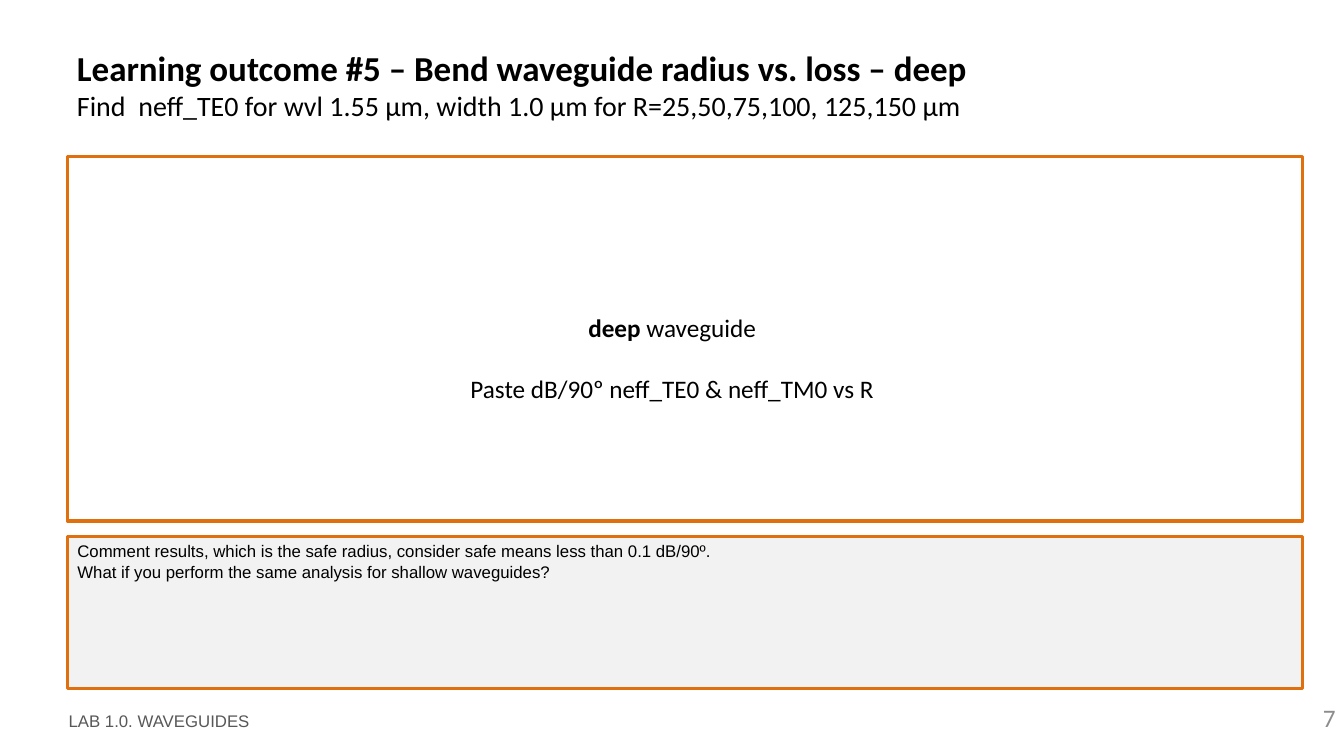
from pptx import Presentation
from pptx.dml.color import RGBColor
from pptx.enum.shapes import MSO_SHAPE
from pptx.enum.text import MSO_ANCHOR, PP_ALIGN
from pptx.util import Cm, Pt

BLACK = RGBColor(0x00, 0x00, 0x00)
ORANGE = RGBColor(0xE0, 0x70, 0x0D)
PALE_GRAY = RGBColor(0xF2, 0xF2, 0xF2)
FOOTER_GRAY = RGBColor(0x58, 0x58, 0x58)
NUMBER_GRAY = RGBColor(0x8C, 0x8C, 0x8C)

PANEL_LEFT, PANEL_WIDTH = 1.7, 31.12


def set_font(para, name, size, color, bold=False):
    para.font.name = name
    para.font.size = Pt(size)
    para.font.color.rgb = color
    para.font.bold = bold


def add_text_frame(page, left, top, width, height, margin=0.0):
    box = page.shapes.add_textbox(Cm(left), Cm(top), Cm(width), Cm(height))
    frame = box.text_frame
    frame.word_wrap = True
    frame.margin_left = frame.margin_right = Cm(margin)
    frame.margin_top = frame.margin_bottom = Cm(margin / 2)
    return frame


def add_panel(page, top, height, fill=None):
    panel = page.shapes.add_shape(
        MSO_SHAPE.RECTANGLE, Cm(PANEL_LEFT), Cm(top), Cm(PANEL_WIDTH), Cm(height))
    panel.shadow.inherit = False
    panel.line.color.rgb = ORANGE
    panel.line.width = Pt(2.25)
    if fill is None:
        panel.fill.background()
    else:
        panel.fill.solid()
        panel.fill.fore_color.rgb = fill
    return panel


def add_heading(page, left, top, width, height):
    frame = add_text_frame(page, left, top, width, height)
    frame.margin_top = Cm(0.03)
    title = frame.paragraphs[0]
    title.text = "Learning outcome #5 – Bend waveguide radius vs. loss – deep"
    set_font(title, "Calibri", 25, BLACK, bold=True)
    task = frame.add_paragraph()
    task.text = "Find  neff_TE0 for wvl 1.55 µm, width 1.0 µm for R=25,50,75,100, 125,150 µm"
    set_font(task, "Calibri", 20, BLACK)


def add_result_area(page, top, height):
    add_panel(page, top, height)
    frame = add_text_frame(page, 8.28, top + 3.81, 17.32, 2.57, margin=0.25)
    kind = frame.paragraphs[0]
    kind.add_run().text = "deep"
    kind.add_run().text = " waveguide"
    kind.runs[0].font.bold = True
    request = frame.add_paragraph()
    request.text = "Paste dB/90º neff_TE0 & neff_TM0 vs R"
    request.space_before = Pt(22)
    for para in frame.paragraphs:
        para.alignment = PP_ALIGN.CENTER
        set_font(para, "Calibri", 18, BLACK)


def add_comment_area(page, top, height):
    frame = add_panel(page, top, height, PALE_GRAY).text_frame
    frame.word_wrap = True
    frame.vertical_anchor = MSO_ANCHOR.TOP
    frame.paragraphs[0].text = (
        "Comment results, which is the safe radius, consider safe means less than 0.1 dB/90º.")
    frame.add_paragraph().text = (
        "What if you perform the same analysis for shallow waveguides?")
    for para in frame.paragraphs:
        para.alignment = PP_ALIGN.JUSTIFY
        set_font(para, "Arial", 12, BLACK)


def add_footer(page, top):
    # Lab name
    frame = add_text_frame(page, PANEL_LEFT + 0.03, top + 0.22, 7.62, 0.51)
    frame.vertical_anchor = MSO_ANCHOR.MIDDLE
    lab = frame.paragraphs[0]
    lab.text = "LAB 1.0. WAVEGUIDES"
    set_font(lab, "Arial", 12, FOOTER_GRAY)

    # Page number
    number = add_text_frame(page, 25.86, top, 7.8, 0.97).paragraphs[0]
    number.text = "7"
    number.alignment = PP_ALIGN.RIGHT
    set_font(number, "Calibri", 18, NUMBER_GRAY)


def main():
    deck = Presentation()
    deck.slide_width, deck.slide_height = Cm(33.87), Cm(19.05)
    page = deck.slides.add_slide(deck.slide_layouts[6])
    add_heading(page, 1.94, 1.14, 30.53, 3.02)
    add_footer(page, 17.7)
    add_comment_area(page, 13.51, 3.84)
    add_result_area(page, 3.94, 9.19)
    deck.save("out.pptx")


if __name__ == "__main__":
    main()
